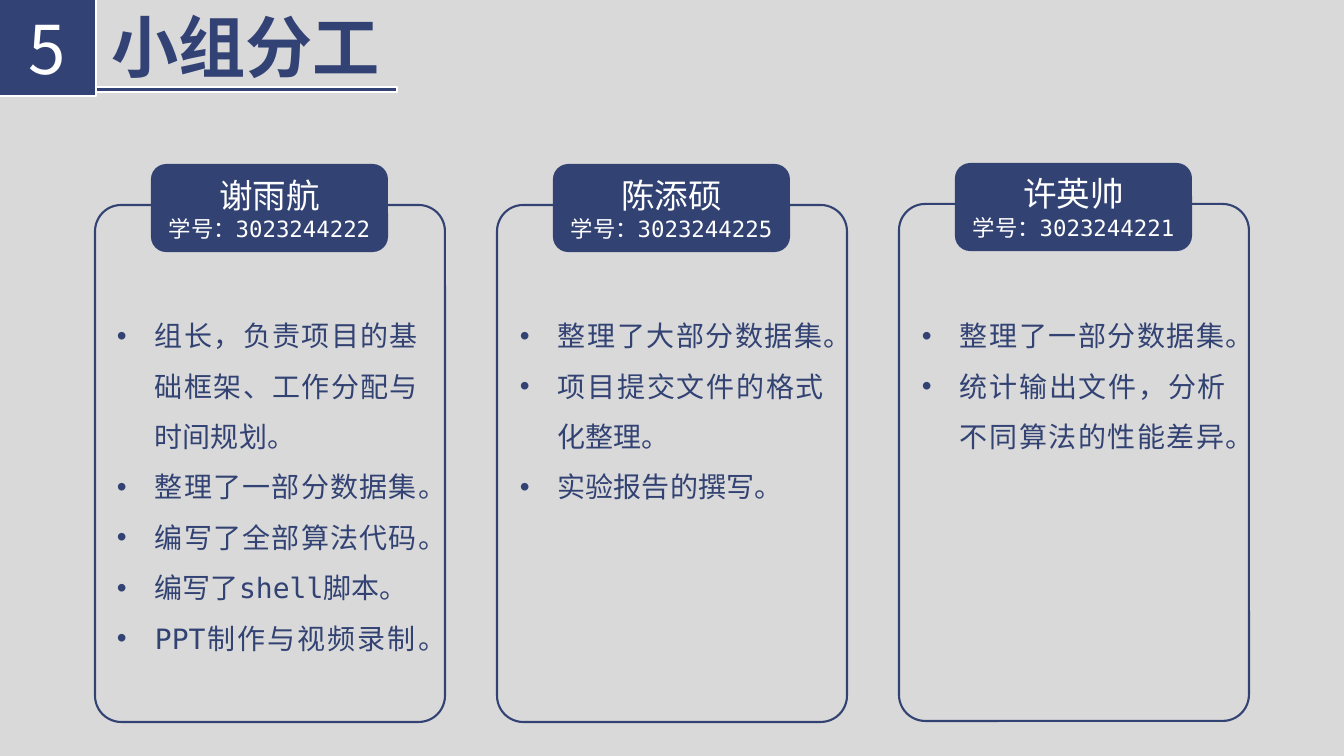
"""Build the slide that shows how the work is divided among three group members."""
from dataclasses import dataclass

import lxml.etree
import pptx
import pptx.dml.color
import pptx.enum.lang
import pptx.enum.shapes
import pptx.enum.text
import pptx.oxml.ns
import pptx.util

EMU_PER_PX = 914400 / 100.8
Align = pptx.enum.text.PP_ALIGN
Anchor = pptx.enum.text.MSO_ANCHOR
Preset = pptx.enum.shapes.MSO_SHAPE


@dataclass(frozen=True)
class Theme:
    background: str = "D9D9D9"
    header: str = "324274"
    card: str = "324273"
    white: str = "FFFFFF"
    header_font: str = "Noto Sans CJK SC"
    card_font: str = "DejaVu Sans Mono"
    title_size: int = 48
    name_size: int = 24
    task_size: int = 20
    number_size: int = 16
    border: float = 1.5
    header_border: float = 1


@dataclass(frozen=True)
class Box:
    left: int
    top: int
    width: int
    height: int


@dataclass(frozen=True)
class Style:
    size: int
    color: str
    font: str
    align: Align = Align.CENTER
    bold: bool = False
    bullet: bool = False


@dataclass(frozen=True)
class Member:
    name: str
    number: str
    tasks: tuple[str, ...]
    task_lines: int
    shift: int
    list_inset: int
    list_width: int


THEME = Theme()
CARD_LEFT, CARD_STEP = 95, 402
LIST_TOP, LINE_HEIGHT, LIST_PADDING = 297, 51, 5
BULLET_INDENT = 38

HEADING = Style(THEME.title_size, THEME.header, THEME.header_font, bold=True)
SECTION = Style(THEME.title_size, THEME.white, THEME.header_font)
NAME = Style(THEME.name_size, THEME.white, THEME.card_font)
NUMBER = Style(THEME.number_size, THEME.white, THEME.card_font)
TASK = Style(THEME.task_size, THEME.card, THEME.card_font, Align.JUSTIFY, bullet=True)

MEMBERS = (
    Member("谢雨航", "3023244222", (
        "组长，负责项目的基础框架、工作分配与时间规划。",
        "整理了一部分数据集。",
        "编写了全部算法代码。",
        "编写了shell脚本。",
        "PPT制作与视频录制。",
    ), 7, 0, 12, 321),
    Member("陈添硕", "3023244225", (
        "整理了大部分数据集。",
        "项目提交文件的格式化整理。",
        "实验报告的撰写。",
    ), 4, 0, 13, 324),
    Member("许英帅", "3023244221", (
        "整理了一部分数据集。",
        "统计输出文件，分析不同算法的性能差异。",
    ), 3, -1, 13, 324),
)


def px(length: int) -> int:
    """Turn px into EMU."""
    return round(length * EMU_PER_PX)


def place(box: Box) -> tuple[int, int, int, int]:
    """Give the EMU position and size of a box."""
    return px(box.left), px(box.top), px(box.width), px(box.height)


def rgb(color: str) -> pptx.dml.color.RGBColor:
    """Turn a hex string into a colour."""
    return pptx.dml.color.RGBColor.from_string(color)


def apply(target: object, values: dict[str, object]) -> None:
    """Set every attribute named in a dict of format values."""
    for name, value in values.items():
        setattr(target, name, value)


def add_panel(shapes, preset: Preset, box: Box, fill: str, line: str, weight: float):
    """Draw one filled and outlined shape."""
    panel = shapes.add_shape(preset, *place(box))
    panel.shadow.inherit = False
    panel.fill.solid()
    panel.fill.fore_color.rgb = rgb(fill)
    panel.line.color.rgb = rgb(line)
    panel.line.width = pptx.util.Pt(weight)
    return panel


def add_bullet(para) -> None:
    """Give a paragraph a hanging bullet and wide line spacing."""
    para.line_spacing = 1.5
    properties = para._p.get_or_add_pPr()
    properties.set("marL", str(px(BULLET_INDENT)))
    properties.set("indent", str(-px(BULLET_INDENT)))
    tag = pptx.oxml.ns.qn
    lxml.etree.SubElement(properties, tag("a:buFont")).set("typeface", "Arial")
    lxml.etree.SubElement(properties, tag("a:buChar")).set("char", "•")


def write(frame, lines: list[tuple[str, Style]]) -> None:
    """Fill a text frame with one styled paragraph per line."""
    frame.word_wrap = True
    for index, (text, style) in enumerate(lines):
        para = frame.add_paragraph() if index else frame.paragraphs[0]
        para.alignment = style.align
        if style.bullet:
            add_bullet(para)
        span = para.add_run()
        span.text = text
        apply(span.font, {
            "name": style.font,
            "size": pptx.util.Pt(style.size),
            "bold": style.bold,
            "language_id": pptx.enum.lang.MSO_LANGUAGE_ID.SIMPLIFIED_CHINESE,
        })
        span.font.color.rgb = rgb(style.color)
        latin = span._r.rPr.find(pptx.oxml.ns.qn("a:latin"))
        asian = lxml.etree.Element(pptx.oxml.ns.qn("a:ea"), typeface=style.font)
        latin.addnext(asian)


def add_text(shapes, box: Box, lines: list[tuple[str, Style]], anchor: Anchor = Anchor.TOP) -> None:
    """Add a text box that grows with its text."""
    frame = shapes.add_textbox(*place(box)).text_frame
    write(frame, lines)
    apply(frame, {
        "vertical_anchor": anchor,
        "auto_size": pptx.enum.text.MSO_AUTO_SIZE.SHAPE_TO_FIT_TEXT,
    })


def add_header(page) -> None:
    """Draw the section number, the title and its underline."""
    shapes = page.shapes.add_group_shape().shapes
    look = (THEME.header, THEME.white, THEME.header_border)
    add_panel(shapes, Preset.RECTANGLE, Box(-1, 87, 398, 5), *look)
    square = add_panel(shapes, Preset.RECTANGLE, Box(-1, -1, 97, 97), *look)
    square.text_frame.vertical_anchor = Anchor.MIDDLE
    write(square.text_frame, [("5", SECTION)])
    add_text(shapes, Box(95, 0, 301, 92), [("小组分工", HEADING)])


def add_member(page, left: int, member: Member) -> None:
    """Draw one member's card with name badge and task list."""
    shapes = page.shapes.add_group_shape().shapes
    card = add_panel(shapes, Preset.ROUNDED_RECTANGLE, Box(left, 205 + member.shift, 350, 517),
                     THEME.background, THEME.card, THEME.border)
    card.adjustments[0] = 0.075
    add_panel(shapes, Preset.ROUNDED_RECTANGLE, Box(left + 57, 165 + member.shift, 235, 86),
              THEME.card, THEME.card, THEME.border)
    add_text(shapes, Box(left + 57, 169 + member.shift, 235, 78),
             [(member.name, NAME), (f"学号：{member.number}", NUMBER)], Anchor.MIDDLE)
    height = member.task_lines * LINE_HEIGHT + LIST_PADDING
    add_text(shapes, Box(left + member.list_inset, LIST_TOP, member.list_width, height),
             [(task, TASK) for task in member.tasks])


def main() -> None:
    """Build and save the deck."""
    deck = pptx.Presentation()
    apply(deck, {"slide_width": px(1344), "slide_height": px(756)})
    page = deck.slides.add_slide(deck.slide_layouts[6])
    page.background.fill.solid()
    page.background.fill.fore_color.rgb = rgb(THEME.background)
    add_header(page)
    for index, member in enumerate(MEMBERS):
        add_member(page, CARD_LEFT + index * CARD_STEP, member)
    deck.save("out.pptx")


if __name__ == "__main__":
    main()
